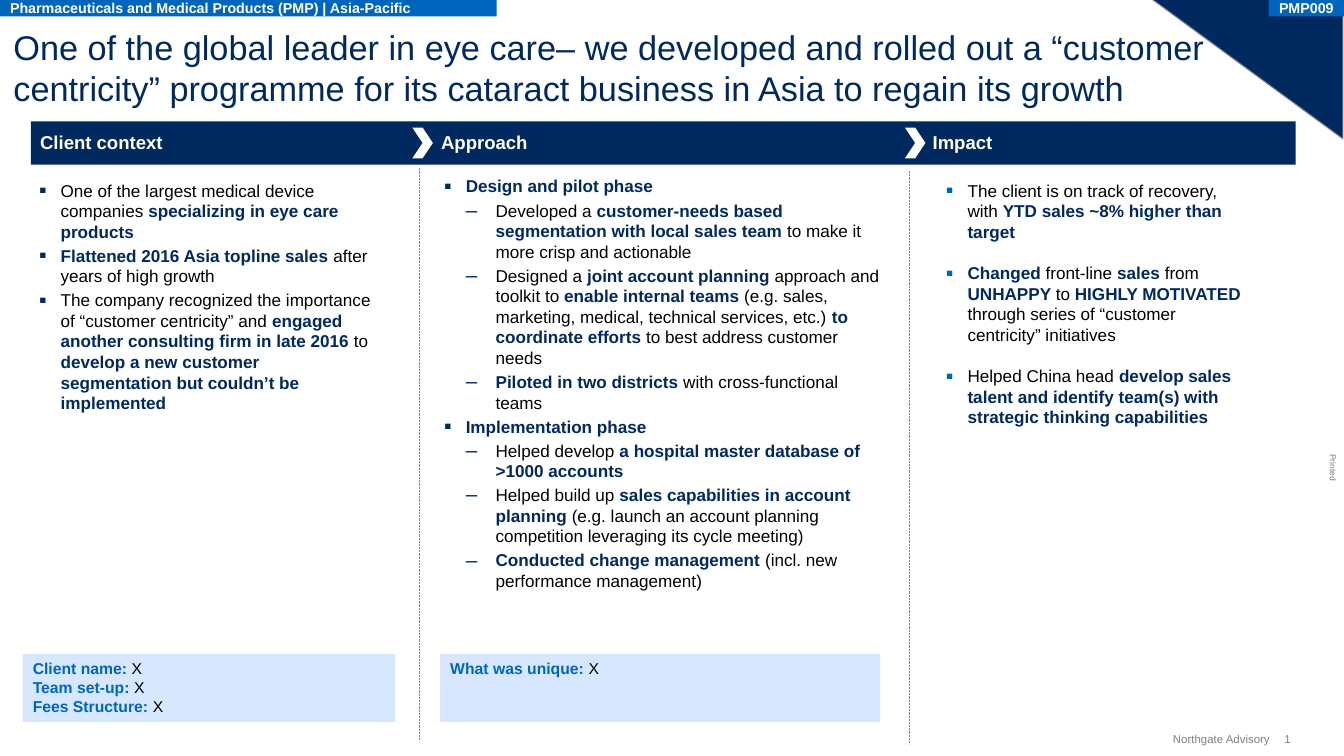
from lxml import etree
from pptx import Presentation
from pptx.dml.color import RGBColor
from pptx.enum.dml import MSO_LINE
from pptx.enum.shapes import MSO_CONNECTOR, MSO_SHAPE
from pptx.enum.text import MSO_ANCHOR, MSO_AUTO_SIZE, PP_ALIGN
from pptx.oxml.ns import qn
from pptx.util import Inches, Pt

RECTANGLE, CHEVRON = MSO_SHAPE.RECTANGLE, MSO_SHAPE.CHEVRON
RIGHT_TRIANGLE = MSO_SHAPE.RIGHT_TRIANGLE
STRAIGHT, DOTTED = MSO_CONNECTOR.STRAIGHT, MSO_LINE.ROUND_DOT
TOP, MIDDLE, BOTTOM = MSO_ANCHOR.TOP, MSO_ANCHOR.MIDDLE, MSO_ANCHOR.BOTTOM
LEFT, RIGHT = PP_ALIGN.LEFT, PP_ALIGN.RIGHT
NO_AUTOFIT = MSO_AUTO_SIZE.NONE

FONT = "Arial"
NAVY, BLUE, BULLET_BLUE, PALE = "002960", "0065BD", "0066B1", "D6E7FF"
GREY, BLACK, WHITE = "808080", "000000", "FFFFFF"
LINE_HEIGHT = 1.2

TITLE = ("One of the global leader in eye care– we developed and rolled out a “customer "
         "centricity” programme for its cataract business in Asia to regain its growth")

# Bullets are (level, text); ** marks the emphasised words
CONTEXT = [
    (1, "One of the largest medical device companies **specializing in eye care products**"),
    (1, "**Flattened 2016 Asia topline sales **after years of high growth"),
    (1, "The company recognized the importance of “customer centricity” and **engaged "
        "another consulting firm in late 2016 **to **develop a new customer "
        "segmentation but couldn’t be implemented**"),
]
APPROACH = [
    (1, "**Design and pilot phase**"),
    (2, "Developed a **customer-needs based segmentation with local sales team **"
        "to make it more crisp and actionable"),
    (2, "Designed a **joint account planning **approach and toolkit to **enable internal "
        "teams **(e.g. sales, marketing, medical, technical services, etc.) **to "
        "coordinate efforts **to best address customer needs"),
    (2, "**Piloted in two districts** with cross-functional teams"),
    (1, "**Implementation phase**"),
    (2, "Helped develop **a hospital master database of >1000 accounts**"),
    (2, "Helped build up **sales capabilities in account planning **(e.g. launch an "
        "account planning competition leveraging its cycle meeting)"),
    (2, "**Conducted change management **(incl. new performance management)"),
]
IMPACT = [
    (1, "The client is on track of recovery, with **YTD sales ~8% higher than target**"),
    (1, "**Changed **front-line** sales **from **UNHAPPY **to **HIGHLY MOTIVATED **"
        "through series of “customer centricity” initiatives"),
    (1, "Helped China head **develop sales talent and identify team(s) with "
        "strategic thinking capabilities**"),
]
# Level: (bullet, size in percent, left margin, hanging indent)
BULLETS = {1: ("▪", 125, 0.21, 0.21), 2: ("–", 120, 0.5, 0.29)}


def rgb(color):
    return RGBColor.from_string(color)


def add_box(slide, kind, box, fill):
    shape = slide.shapes.add_shape(kind, *map(Inches, box))
    shape.shadow.inherit = False
    shape.fill.solid()
    shape.fill.fore_color.rgb = rgb(fill)
    shape.line.fill.background()
    return shape


def set_frame(shape, anchor=TOP, insets=(0, 0, 0, 0), wrap=True):
    frame = shape.text_frame
    frame.word_wrap = wrap
    frame.auto_size = NO_AUTOFIT
    frame.vertical_anchor = anchor
    (frame.margin_left, frame.margin_top,
     frame.margin_right, frame.margin_bottom) = map(Inches, insets)
    return frame


def write(paragraph, text, size, color, strong=None, bold=False, align=LEFT):
    """Write text, giving the parts between ** marks the strong colour."""
    paragraph.alignment = align
    paragraph.line_spacing = Pt(round(size * LINE_HEIGHT, 1))
    paragraph.font.name = FONT
    paragraph.font.size = Pt(size)
    for index, part in enumerate(text.split("**")):
        if part:
            run = paragraph.add_run()
            run.text = part
            run.font.bold = bold or index % 2 == 1
            run.font.color.rgb = rgb(strong if index % 2 else color)


def add_label(slide, box, text, size, color, anchor=TOP, bold=False, align=LEFT, wrap=True):
    label = slide.shapes.add_textbox(*map(Inches, box))
    write(set_frame(label, anchor, wrap=wrap).paragraphs[0], text, size, color,
          bold=bold, align=align)
    return label


def paragraphs_for(frame, items):
    for index, item in enumerate(items):
        yield (frame.add_paragraph() if index else frame.paragraphs[0]), item


def set_bullet(paragraph, level, color):
    character, percent, margin, hanging = BULLETS[level]
    properties = paragraph._p.get_or_add_pPr()
    properties.set("marL", str(Inches(margin)))
    properties.set("indent", str(-Inches(hanging)))
    bullet_color = etree.SubElement(properties, qn("a:buClr"))
    etree.SubElement(bullet_color, qn("a:srgbClr"), val=color)
    etree.SubElement(properties, qn("a:buSzPct"), val=str(percent * 1000))
    etree.SubElement(properties, qn("a:buFont"), typeface=FONT)
    etree.SubElement(properties, qn("a:buChar"), char=character)


def add_bullets(slide, box, items, bullet_color=NAVY, before=2.4, after=0):
    frame = set_frame(slide.shapes.add_textbox(*map(Inches, box)))
    for paragraph, (level, text) in paragraphs_for(frame, items):
        set_bullet(paragraph, level, bullet_color)
        paragraph.level = level - 1
        paragraph.space_before, paragraph.space_after = Pt(before), Pt(after)
        write(paragraph, text, 12, BLACK, NAVY)


def add_tag(slide, box, text):
    tag = add_box(slide, RECTANGLE, box, BLUE)
    frame = set_frame(tag, MIDDLE, (0.1, 0, 0.1, 0), wrap=False)
    write(frame.paragraphs[0], text, 10, WHITE, bold=True)


def add_note(slide, box, lines):
    note = add_box(slide, RECTANGLE, box, PALE)
    frame = set_frame(note, insets=(0.1, 0.05, 0.1, 0.05))
    for paragraph, text in paragraphs_for(frame, lines):
        write(paragraph, text, 11, BLACK, BLUE)


def add_divider(slide, x, top, height):
    divider = slide.shapes.add_connector(
        STRAIGHT, Inches(x), Inches(top), Inches(x), Inches(top + height))
    divider.line.color.rgb = rgb(GREY)
    divider.line.width = Pt(0.5)
    divider.line.dash_style = DOTTED
    etree.SubElement(divider._element.spPr, qn("a:effectLst"))


def add_title(slide, box):
    title = slide.shapes.title
    title.left, title.top, title.width, title.height = map(Inches, box)
    write(set_frame(title).paragraphs[0], TITLE, 24, NAVY)


def add_page_frame(slide, width, height):
    # Corner triangle
    corner = add_box(slide, RIGHT_TRIANGLE, (width - 1.87, -0.01, 1.86, 1.36), NAVY)
    corner.rotation = 180
    corner.line.color.rgb = rgb(GREY)
    corner.line.width = Pt(0.75)
    # Tags along the top edge
    add_tag(slide, (0, 0, 4.83, 0.16), "Pharmaceuticals and Medical Products (PMP) | Asia-Pacific")
    add_tag(slide, (width - 0.73, 0, 0.73, 0.16), "PMP009")
    # Side mark and footer
    printed = add_label(slide, (width - 0.24, 4.5, 0.27, 0.1), "Printed", 6, GREY, wrap=False)
    printed.rotation = 90
    footer_top = height - 0.23
    add_label(slide, (width - 1.83, footer_top, 1.11, 0.13), "Northgate Advisory", 8, GREY,
              MIDDLE, align=RIGHT)
    add_label(slide, (width - 0.58, footer_top, 0.14, 0.13), "1", 8, GREY, MIDDLE)


def add_header(slide, box):
    left, top, width, height = box
    add_box(slide, RECTANGLE, box, NAVY)
    for offset, text in ((0.09, "Client context"), (3.99, "Approach"), (8.77, "Impact")):
        add_label(slide, (left + offset, top + 0.09, 2.9, 0.22), text, 13, WHITE,
                  BOTTOM, bold=True)
    for offset in (3.71, 8.5):
        add_box(slide, CHEVRON, (left + offset, top + 0.06, 0.2, height - 0.12), WHITE)


def add_columns(slide, top):
    add_bullets(slide, (0.38, top + 0.04, 3.25, 2.3), CONTEXT)
    add_bullets(slide, (4.32, top, 4.24, 4.12), APPROACH)
    add_bullets(slide, (9.2, top + 0.04, 2.93, 2.47), IMPACT, BULLET_BLUE, 6, 8.6)
    add_divider(slide, 4.08, top - 0.08, 5.57)
    add_divider(slide, 8.84, top - 0.05, 5.57)
    # Notes under the first two columns
    add_note(slide, (0.22, top + 4.65, 3.62, 0.66),
             ["**Client name: **X", "**Team set-up: **X", "**Fees Structure: **X"])
    add_note(slide, (4.28, top + 4.65, 4.28, 0.66), ["**What was unique: **X"])


def main():
    width, height = 13.07, 7.35
    presentation = Presentation()
    presentation.slide_width, presentation.slide_height = Inches(width), Inches(height)
    slide = presentation.slides.add_slide(presentation.slide_layouts[5])
    add_title(slide, (0.13, 0.25, 12.57, 0.81))
    add_page_frame(slide, width, height)
    add_header(slide, (0.3, 1.18, 12.3, 0.42))
    add_columns(slide, 1.71)
    presentation.save("out.pptx")


if __name__ == "__main__":
    main()
